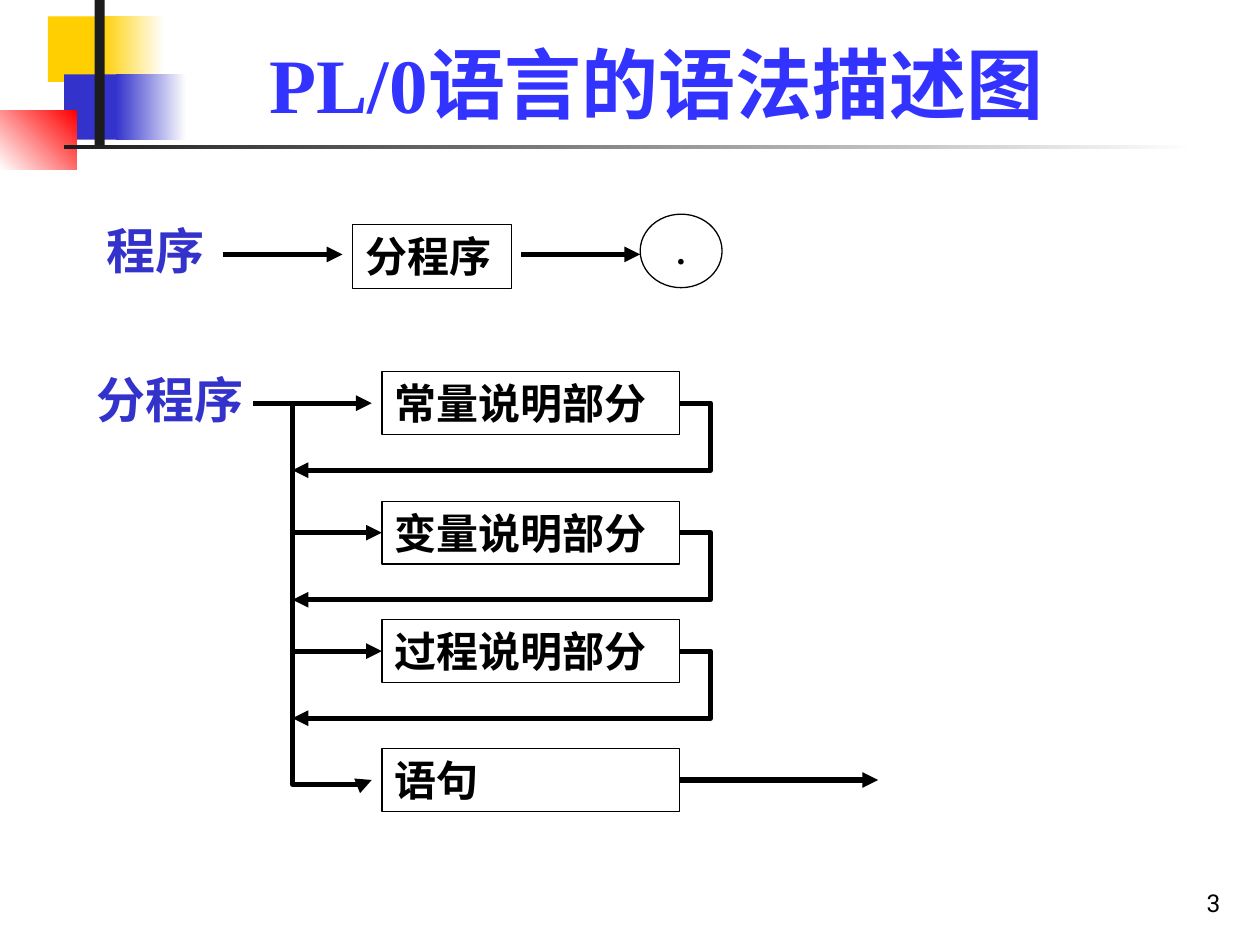
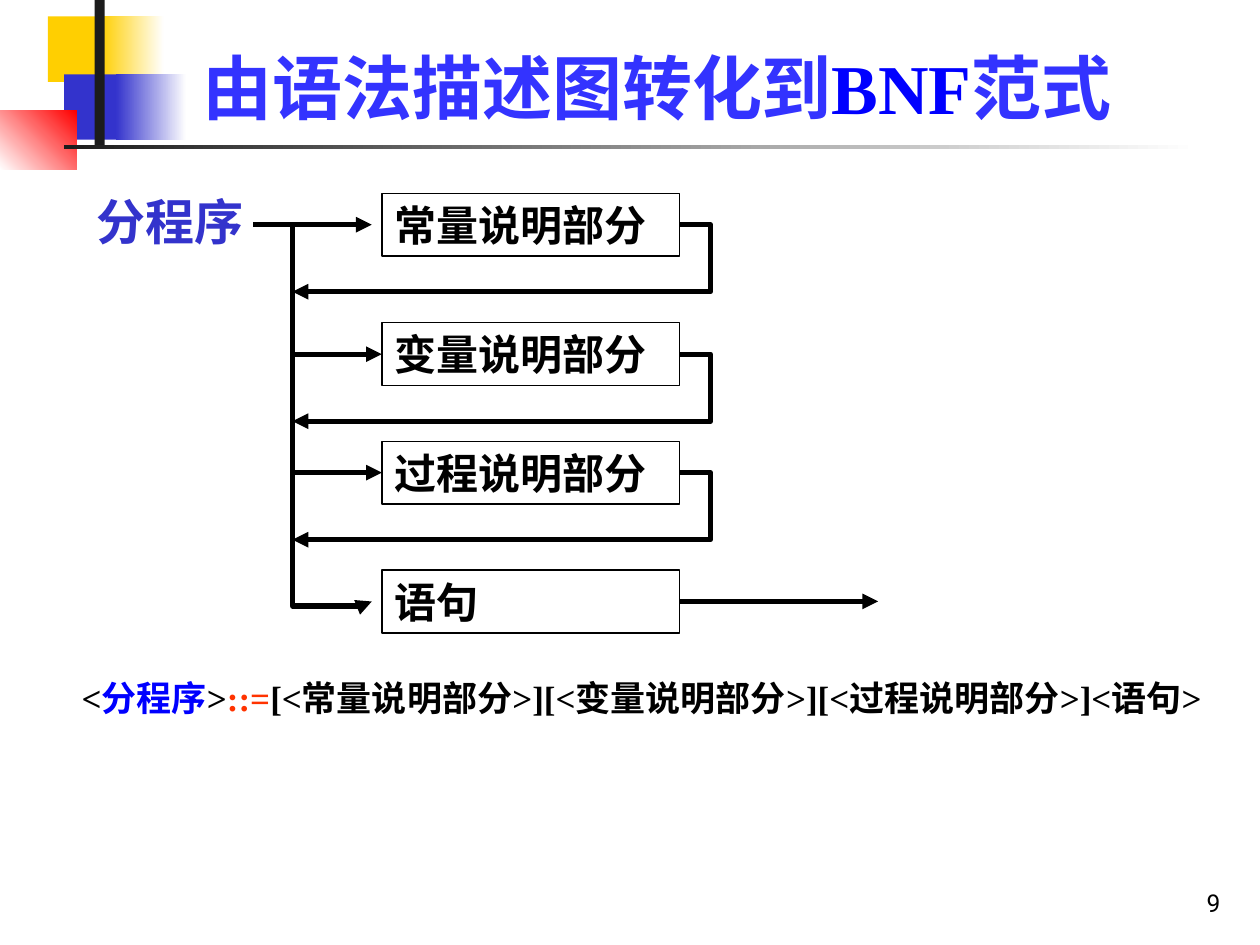
from lxml import etree
from pptx import Presentation
from pptx.dml.color import RGBColor
from pptx.enum import shapes, text
from pptx.oxml import ns
from pptx.util import Pt

hue = RGBColor.from_string
RECT = shapes.MSO_SHAPE.RECTANGLE
OVAL = shapes.MSO_SHAPE.OVAL
LINE = shapes.MSO_CONNECTOR.STRAIGHT
BENT = shapes.MSO_CONNECTOR.ELBOW
LEFT, MID, RIGHT = text.PP_ALIGN.LEFT, text.PP_ALIGN.CENTER, text.PP_ALIGN.RIGHT
TOP, CORE, LOW = text.MSO_ANCHOR.TOP, text.MSO_ANCHOR.MIDDLE, text.MSO_ANCHOR.BOTTOM
SERIF, SANS = "Times New Roman", "Roboto"
BLACK, BLUE, TITLE, PURE, RED = "000000", "3333CC", "3333FF", "0000FF", "FF3300"


def put(page, at, runs, size, kind=None, align=LEFT, anchor=TOP, face=SERIF, bold=True):
    box = [Pt(n) for n in at]
    if kind is None:
        item = page.shapes.add_textbox(*box)
    else:
        item = page.shapes.add_shape(kind, *box)
        item.shadow.inherit = False
        item.fill.background()
        item.line.color.rgb = hue(BLACK)
        item.line.width = Pt(0.75)
    frame = item.text_frame
    frame.word_wrap = True
    frame.vertical_anchor = anchor
    para = frame.paragraphs[0]
    para.alignment = align
    font = para.font
    font.name, font.size, font.bold = face, Pt(size), bold
    if len(runs) == 1:
        font.color.rgb = hue(runs[0][1])
    for words, tint in runs:
        run = para.add_run()
        run.text = words
        if len(runs) > 1:
            run.font.color.rgb = hue(tint)
    return item


def wire(page, kind, x1, y1, x2, y2, bend=None):
    link = page.shapes.add_connector(kind, Pt(x1), Pt(y1), Pt(x2), Pt(y2))
    link.line.color.rgb = hue(BLACK)
    link.line.width = Pt(3)
    prop = link._element.spPr
    etree.SubElement(prop.find(ns.qn("a:ln")), ns.qn("a:tailEnd"), type="triangle")
    etree.SubElement(prop, ns.qn("a:effectLst"))
    if bend is not None:
        marks = prop.find(ns.qn("a:prstGeom")).get_or_add_avLst()
        etree.SubElement(marks, ns.qn("a:gd"), name="adj1", fmla=f"val {bend}")
    return link


decor = [
    ((27.4, 9.4, 48.2, 37.4), ["FFCF01"], 0),
    ((57.6, 9.4, 36, 37.4), ["FFCF01", "FFFFFF"], 0),
    ((36.7, 42.5, 46.1, 37.4), [BLUE], 0),
    ((66.2, 42.5, 40.3, 37.4), [BLUE, "FFFFFF"], 0),
    ((0, 63.4, 44, 33.4), ["FFFFFF", "FF0000"], 45),
    ((54, 0, 5.8, 82.8), ["1C1C1C"], 0),
    ((36.7, 82.8, 648, 2.2), ["1C1C1C", "FFFFFF"], 0),
]
pages = [
    ("3", 44, [("PL/0语言的语法描述图", TITLE)], 230.4),
    ("9", 40, [("由语法描述图转化到", TITLE), ("BNF", PURE), ("范式", TITLE)], 128.4),
]
parts = [("常量说明部分", 0), ("变量说明部分", 74), ("过程说明部分", 141.7), ("语句", 215.3)]
spine, near, left, wide, high = 167.2, 212.4, 218.2, 170, 36
right = left + wide
drop, over = 215.3, near - spine

deck = Presentation()
deck.slide_width, deck.slide_height = Pt(720), Pt(540)
slides = []
for num, size, title, start in pages:
    page = deck.slides.add_slide(deck.slide_layouts[6])
    slides.append(page)
    for at, tints, angle in decor:
        band = page.shapes.add_shape(RECT, *[Pt(n) for n in at])
        band.shadow.inherit = False
        band.line.fill.background()
        if len(tints) == 1:
            band.fill.solid()
            band.fill.fore_color.rgb = hue(tints[0])
        else:
            band.fill.gradient()
            band.fill.gradient_angle = angle
            for stop, tint in zip(band.fill.gradient_stops, tints):
                stop.color.rgb = hue(tint)
    put(page, (554.4, 491.8, 150, 36), [(num, BLACK)], 14,
        align=RIGHT, anchor=LOW, face=SANS, bold=False)
    put(page, (90.7, 16.6, 569.5, 60.5), title, size, align=MID, anchor=LOW)

    put(page, (48.2, start - 22.7, 102.2, 41), [("分程序", BLUE)], 28)
    wire(page, LINE, 144.7, start, near, start)
    midx, midy = (spine + near) / 2, start + drop / 2
    trunk = wire(page, BENT, midx + drop / 2, midy - over / 2,
                 midx - drop / 2, midy + over / 2, 101200)
    trunk._element.spPr.find(ns.qn("a:xfrm")).set("rot", "16200000")
    for row, (name, step) in enumerate(parts):
        y = start + step
        box = put(page, (left, y - high / 2, wide, high), [(name, BLACK)], 24, RECT)
        if row in (1, 2):
            wire(page, LINE, spine, y, left, y).end_connect(box, 1)
        if row < 3:
            wire(page, BENT, right, y, spine, y + 38.3, -8100)
        else:
            wire(page, LINE, right, y, 501.8, y).begin_connect(box, 3)

first, last = slides
put(first, (54, 122.4, 102.2, 41), [("程序", BLUE)], 28)
put(first, (201.6, 128.2, 90.7, 36.7), [("分程序", BLACK)], 24, RECT)
put(first, (365.8, 122.4, 46.8, 42), [(".", BLACK)], 20, OVAL, MID, CORE)
for x in (127.5, 297.6):
    wire(first, LINE, x, 145.4, x + 68.2, 145.4)

rule = [("<", BLACK), ("分程序", PURE), (">", BLACK), ("::=", RED),
        ("[<常量说明部分>][<变量说明部分>][<过程说明部分>]<语句>", BLACK)]
note = put(last, (39.6, 383, 680.4, 31), rule, 20)
prop = note.text_frame.paragraphs[0]._p.get_or_add_pPr()
prop.set("marL", str(Pt(27)))
prop.set("indent", str(Pt(-27)))

deck.save("out.pptx")
